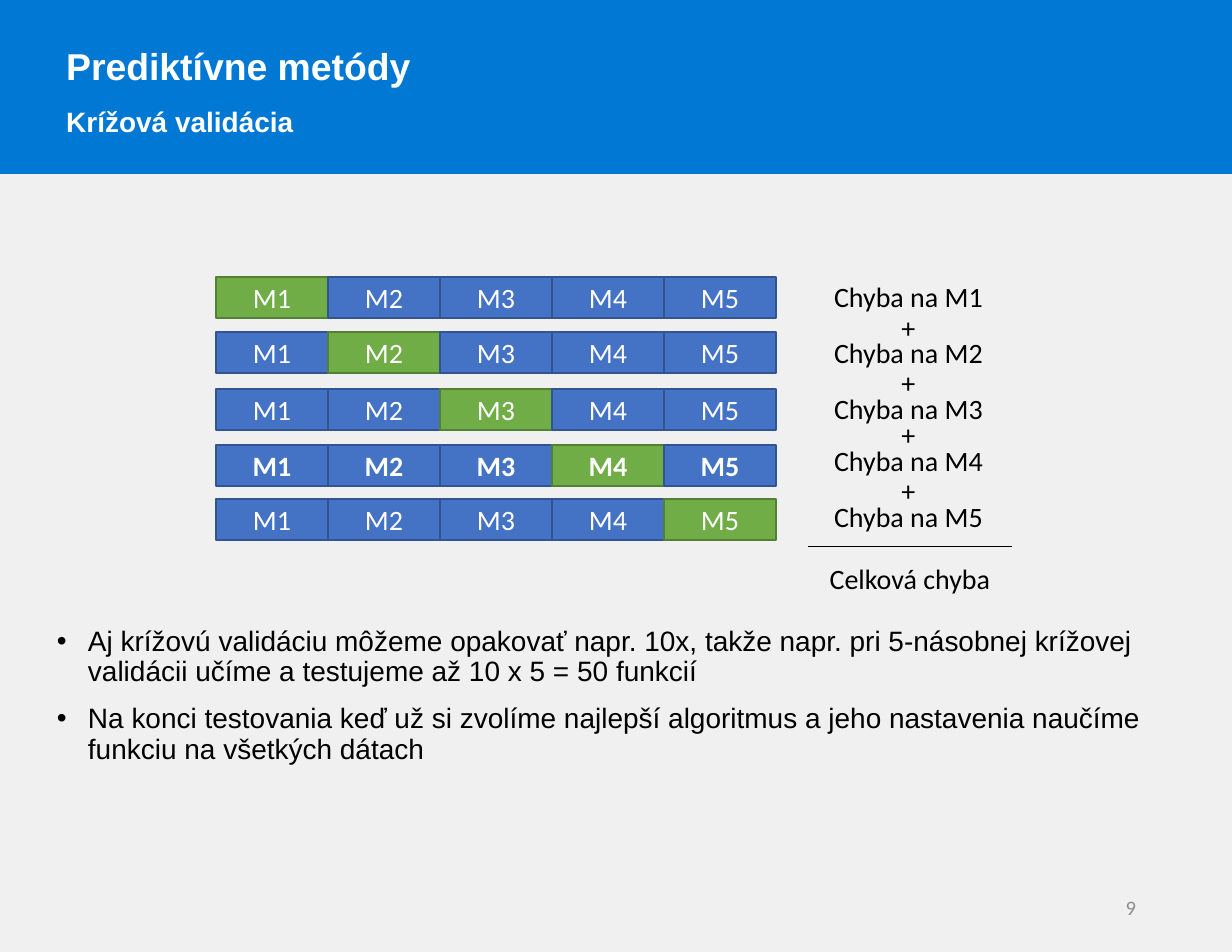
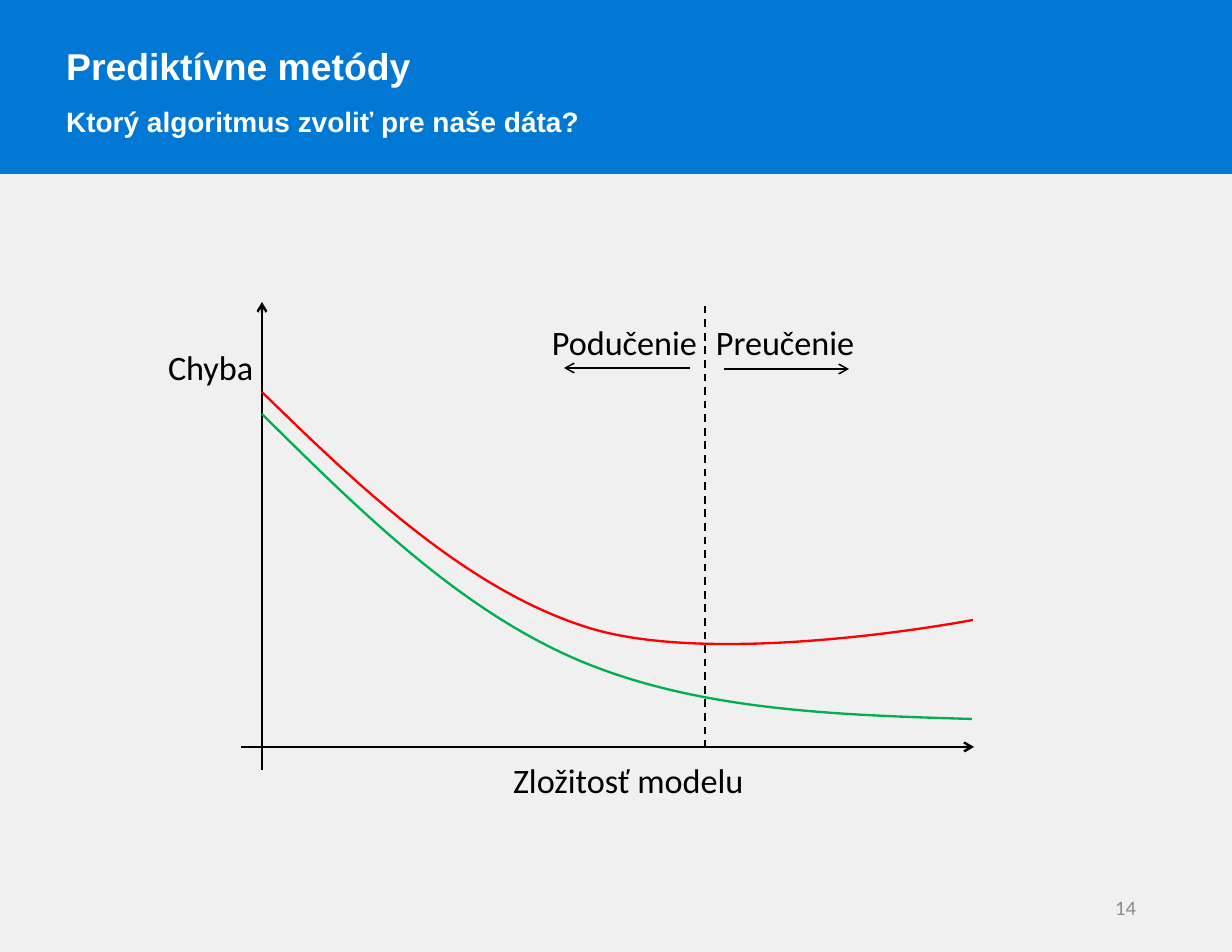
"""Builds two slides on predictive methods: cross-validation and model complexity."""
from lxml import etree
from pptx import Presentation
from pptx import util as u
from pptx.dml.color import RGBColor
from pptx.enum import dml, shapes, text
from pptx.oxml import ns

SCALE = 914400 / 112
COLORS = {
    "background": "F0F0F0", "band": "0078D4", "white": "FFFFFF", "black": "000000",
    "number": "8C8C8C", "train": "4472C4", "train_line": "325491",
    "test": "70AD47", "test_line": "538035", "red": "FF0000", "green": "00B050",
}
ALIGN = {"left": text.PP_ALIGN.LEFT, "center": text.PP_ALIGN.CENTER, "right": text.PP_ALIGN.RIGHT}
ANCHOR = {"top": text.MSO_ANCHOR.TOP, "middle": text.MSO_ANCHOR.MIDDLE}

HEADING = "Prediktívne metódy"
FOLDS = ["M1", "M2", "M3", "M4", "M5"]
FOLD_TOPS = [277, 332, 389, 445, 499]
BOLD_ROW = 3
FOLD_LEFT, FOLD_WIDTH, FOLD_HEIGHT = 216, 112, 41
ERROR_TOPS = [276, 332, 388, 440, 496]
PLUS_TOPS = [307, 362, 414, 470]
ERROR_LEFT, ERROR_WIDTH = 817, 183
BULLETS = [
    "Aj krížovú validáciu môžeme opakovať napr. 10x, takže napr. pri 5-násobnej krížovej "
    "validácii učíme a testujeme až 10 x 5 = 50 funkcií",
    "Na konci testovania keď už si zvolíme najlepší algoritmus a jeho nastavenia naučíme "
    "funkciu na všetkých dátach",
]
CURVES = [
    ("green", (972, 719),
     [(262, 414), (361, 512), (459, 609), (578, 660), (696, 710), (833, 715), (972, 719)]),
    ("red", (973, 645),
     [(262, 392), (361, 489), (467, 589), (586, 627), (704, 665), (925, 629), (973, 620)]),
]
AXES = [
    ((262, 302), (262, 770), {"width": 1.5, "arrow": "headEnd"}),
    ((974, 747), (241, 747), {"width": 1.5, "arrow": "headEnd"}),
]
MARKERS = [
    ((705, 748), (705, 302), {"width": 1.25, "dash": True}),
    ((849, 369), (724, 369), {"width": 1, "arrow": "headEnd"}),
    ((690, 368), (564, 368), {"width": 1, "arrow": "tailEnd"}),
]
CHART_LABELS = [
    ("Zložitosť modelu", (502, 754, 255, 53), "left"),
    ("Chyba", (157, 341, 109, 53), "left"),
    ("Podučenie", (539, 316, 169, 53), "right"),
    ("Preučenie", (705, 316, 162, 53), "left"),
]


def px(value):
    return u.Emu(round(value * SCALE))


def color(name):
    return RGBColor.from_string(COLORS[name])


def write(shape, lines, sizes=(18,), font="Calibri", ink="black", bold=False, align="left",
          anchor="middle", wrap=True, grow=False, spacing=None, gap=0, inset=None, bullet=False):
    frame = shape.text_frame
    frame.text = "\n".join(lines)
    frame.word_wrap = wrap
    frame.auto_size = text.MSO_AUTO_SIZE.SHAPE_TO_FIT_TEXT if grow else text.MSO_AUTO_SIZE.NONE
    frame.vertical_anchor = ANCHOR[anchor]
    if inset is not None:
        frame.margin_top = px(inset)
    for index, paragraph in enumerate(frame.paragraphs):
        paragraph.alignment = ALIGN[align]
        paragraph.line_spacing = spacing
        paragraph.space_before = u.Pt(gap if index else 0)
        for run in paragraph.runs:
            run.font.size = u.Pt(sizes[index % len(sizes)])
            run.font.name = font
            run.font.bold = bold
            run.font.color.rgb = color(ink)
        if bullet:
            properties = paragraph._p.get_or_add_pPr()
            properties.set("marL", str(px(31)))
            properties.set("indent", str(-px(31)))
            etree.SubElement(properties, ns.qn("a:buFont"), typeface="Arial")
            etree.SubElement(properties, ns.qn("a:buChar"), char="•")


def add_text(slide, box, lines, **style):
    write(slide.shapes.add_textbox(*map(px, box)), lines, **style)


def add_rectangle(slide, box, fill, line):
    shape = slide.shapes.add_shape(shapes.MSO_SHAPE.RECTANGLE, *map(px, box))
    shape.shadow.inherit = False
    shape.fill.solid()
    shape.fill.fore_color.rgb = color(fill)
    shape.line.color.rgb = color(line)
    shape.line.width = u.Pt(1)
    return shape


def add_line(slide, start, end, width, arrow=None, dash=False):
    connector = slide.shapes.add_connector(
        shapes.MSO_CONNECTOR.STRAIGHT, *map(px, start + end))
    connector.line.color.rgb = color("black")
    connector.line.width = u.Pt(width)
    if dash:
        connector.line.dash_style = dml.MSO_LINE.DASH
    if arrow:
        etree.SubElement(connector.line._get_or_add_ln(), ns.qn("a:" + arrow), type="arrow")
    etree.SubElement(connector._element.spPr, ns.qn("a:effectLst"))


def add_curve(slide, ink, corner, points):
    left, top = points[0]
    builder = slide.shapes.build_freeform(px(left), px(top), scale=1.0)
    builder.add_line_segments([tuple(map(px, corner))], close=False)
    curve = builder.convert_to_shape()
    segment = next(curve.element.iter(ns.qn("a:lnTo")))
    outline = segment.getparent()
    outline.remove(segment)
    for first in range(1, len(points), 3):
        bezier = etree.SubElement(outline, ns.qn("a:cubicBezTo"))
        for x, y in points[first:first + 3]:
            etree.SubElement(bezier, ns.qn("a:pt"), x=str(px(x - left)), y=str(px(y - top)))
    curve.shadow.inherit = False
    curve.fill.background()
    curve.line.color.rgb = color(ink)
    curve.line.width = u.Pt(1.5)


def add_slide(presentation, subtitle, number):
    slide = presentation.slides.add_slide(presentation.slide_layouts[5])
    slide.background.fill.solid()
    slide.background.fill.fore_color.rgb = color("background")
    title = slide.shapes.title
    band = add_rectangle(slide, (0, 0, 1232, 173), "band", "band")
    title.element.addprevious(band.element)
    title.left, title.top, title.width, title.height = map(px, (55, 15, 1140, 124))
    write(title, [HEADING, subtitle], sizes=(24, 18), font="Arial", ink="white", bold=True,
          anchor="top", grow=True, spacing=1.5)
    add_text(slide, (869, 882, 278, 50), [number], sizes=(13.2,), ink="number", align="right")
    return slide


def add_validation(presentation):
    slide = add_slide(presentation, "Krížová validácia", "9")
    add_text(slide, (46, 240, 1140, 643), BULLETS, font="Arial", anchor="top",
             spacing=0.9, gap=11, inset=387, bullet=True)
    for row, top in enumerate(FOLD_TOPS):
        for column, fold in enumerate(FOLDS):
            role = "test" if row == column else "train"
            box = (FOLD_LEFT + column * FOLD_WIDTH, top, FOLD_WIDTH, FOLD_HEIGHT)
            cell = add_rectangle(slide, box, role, role + "_line")
            write(cell, [fold], ink="white", bold=row == BOLD_ROW, align="center")
    errors = [("Chyba na " + fold, top) for fold, top in zip(FOLDS, ERROR_TOPS)]
    for label, top in errors + [("+", top) for top in PLUS_TOPS]:
        add_text(slide, (ERROR_LEFT, top, ERROR_WIDTH, FOLD_HEIGHT), [label], align="center")
    add_line(slide, (1012, 546), (808, 546), 0.5)
    add_text(slide, (808, 558, 204, FOLD_HEIGHT), ["Celková chyba"], align="center")


def add_complexity(presentation):
    slide = add_slide(presentation, "Ktorý algoritmus zvoliť pre naše dáta?", "14")
    for start, end, style in AXES:
        add_line(slide, start, end, **style)
    for ink, corner, points in CURVES:
        add_curve(slide, ink, corner, points)
    for start, end, style in MARKERS:
        add_line(slide, start, end, **style)
    for label, box, align in CHART_LABELS:
        add_text(slide, box, [label], sizes=(22,), align=align, anchor="top",
                 wrap=False, grow=True)


def main():
    presentation = Presentation()
    presentation.slide_width, presentation.slide_height = px(1232), px(952)
    add_validation(presentation)
    add_complexity(presentation)
    presentation.save("out.pptx")


main()
